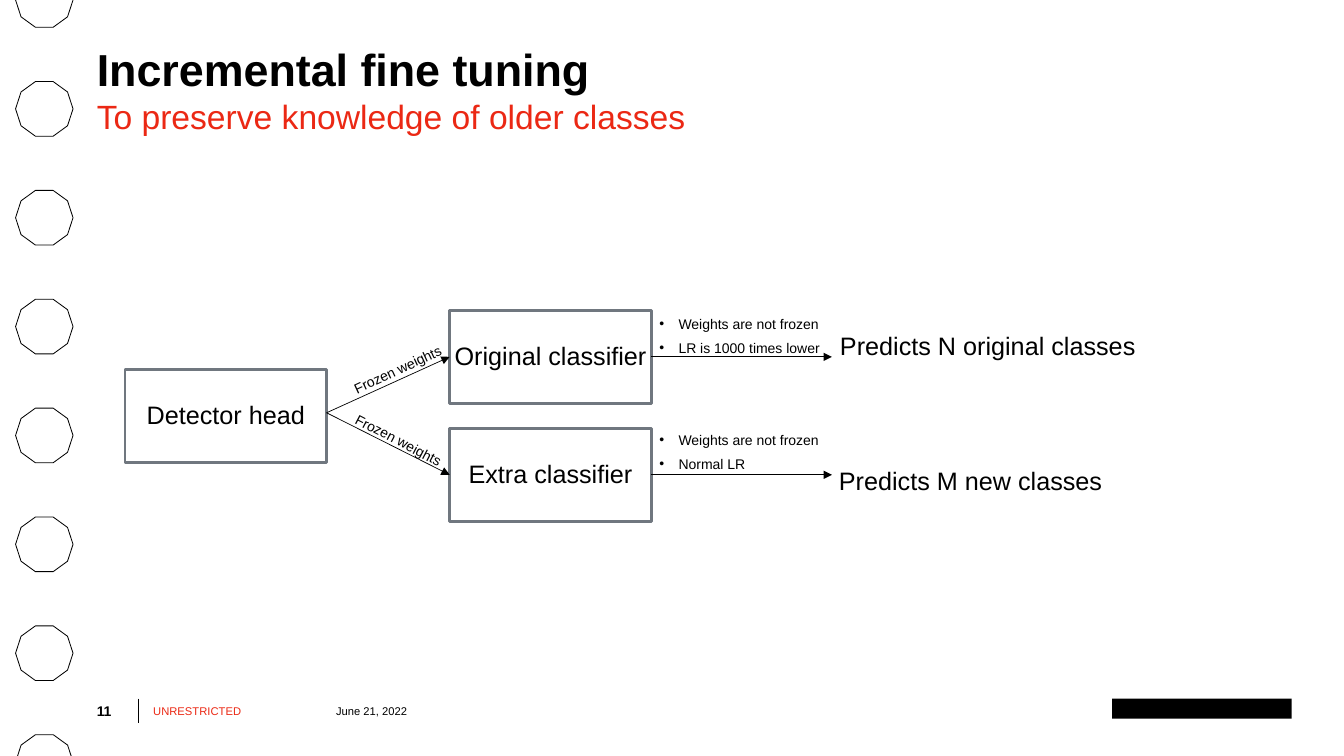
from dataclasses import dataclass
from math import cos, radians, sin

from lxml import etree
from pptx import Presentation
from pptx import util as u
from pptx.dml.color import RGBColor
from pptx.enum import shapes, text
from pptx.oxml.ns import qn

W, H = u.Inches(13.33), u.Inches(7.5)
BLACK, RED, GREY, WHITE = "000000", "EB2814", "70777F", "FFFFFF"
LEFT, FOOT_Y, FOOT_H = 7.2, 92.4, 3.2
BOX_W, BOX_H = 15, 12.27
TOP, MIDDLE = text.MSO_ANCHOR.TOP, text.MSO_ANCHOR.MIDDLE
BODY = dict(line=1.1, after=4)


@dataclass
class Box:
    """A labelled rectangle; places are percent of the slide's size."""
    label: str
    x: float
    y: float

    @property
    def right(self) -> float:
        return self.x + BOX_W

    @property
    def mid(self) -> float:
        return self.y + BOX_H / 2


@dataclass
class Note:
    """Loose text; places are percent of the slide's size."""
    lines: tuple[str, ...]
    x: float
    y: float
    w: float
    h: float
    size: float = 10
    bullet: bool = False
    turn: float = 0


def px(share: float) -> int:
    return round(W * share / 100)


def py(share: float) -> int:
    return round(H * share / 100)


def area(x: float, y: float, w: float, h: float) -> tuple[int, int, int, int]:
    return px(x), py(y), px(w), py(h)


def rgb(colour: str) -> RGBColor:
    return RGBColor.from_string(colour)


def add_bullet(p) -> None:
    pPr = p._p.get_or_add_pPr()
    pPr.set("marL", str(u.Inches(0.19)))
    pPr.set("indent", str(-u.Inches(0.19)))
    etree.SubElement(pPr, qn("a:buFont")).set("typeface", "Arial")
    etree.SubElement(pPr, qn("a:buChar")).set("char", "•")


def write(sp, *lines: str, size: float, colour: str = BLACK, bold: bool = False,
          align=text.PP_ALIGN.LEFT, anchor=TOP, inset: float = 0,
          line: float = 1, after: float = 0, bullet: bool = False) -> None:
    tf = sp.text_frame
    tf.word_wrap, tf.auto_size = True, text.MSO_AUTO_SIZE.NONE
    tf.vertical_anchor = anchor
    tf.margin_left = tf.margin_right = u.Inches(inset)
    tf.margin_top = tf.margin_bottom = u.Inches(inset)
    for i, words in enumerate(lines):
        p = tf.add_paragraph() if i else tf.paragraphs[0]
        p.alignment, p.line_spacing = align, line
        p.space_before, p.space_after = u.Pt(0), u.Pt(after)
        if bullet:
            add_bullet(p)
        r = p.add_run()
        r.text = words
        r.font.name, r.font.size, r.font.bold = "Arial", u.Pt(size), bold
        r.font.color.rgb = rgb(colour)


def add_rect(s, place: tuple[int, int, int, int], fill: str, outline: str = ""):
    sp = s.shapes.add_shape(shapes.MSO_SHAPE.RECTANGLE, *place)
    sp.shadow.inherit = False
    sp.fill.solid()
    sp.fill.fore_color.rgb = rgb(fill)
    if outline:
        sp.line.color.rgb, sp.line.width = rgb(outline), u.Pt(2)
    else:
        sp.line.fill.background()
    return sp


def add_line(s, x1: float, y1: float, x2: float, y2: float, arrow: bool = True) -> None:
    cn = s.shapes.add_connector(shapes.MSO_CONNECTOR.STRAIGHT,
                                px(x1), py(y1), px(x2), py(y2))
    cn.line.color.rgb, cn.line.width = rgb(BLACK), u.Pt(0.5)
    if arrow:
        etree.SubElement(cn.line._get_or_add_ln(), qn("a:tailEnd")).set("type", "triangle")
    etree.SubElement(cn._element.spPr, qn("a:effectLst"))


def add_note(s, note: Note) -> None:
    sp = s.shapes.add_textbox(*area(note.x, note.y, note.w, note.h))
    sp.rotation = note.turn
    write(sp, *note.lines, size=note.size, bullet=note.bullet, **BODY)


def cut(point: tuple[float, float], neighbour: tuple[float, float]) -> tuple[float, float]:
    """Move a point below the slide along its edge up to the bottom border."""
    (x, y), (nx, ny) = point, neighbour
    if y <= H:
        return point
    return x + (nx - x) * (y - H) / (y - ny), H


def add_ring(s, row: int, rows: int) -> None:
    """Draw a binder ring as a decagon; the end rows show only one half."""
    half = row in (0, rows - 1)
    start = 0 if row == 0 else 180
    radius, cx, cy = u.Inches(0.285), px(3.3), py(14.4 * row)
    pts = [(cx + radius * cos(radians(start + 36 * i)),
            cy + radius * sin(radians(start + 36 * i))) for i in range(6 if half else 10)]
    if half:
        pts[0], pts[-1] = cut(pts[0], pts[1]), cut(pts[-1], pts[-2])
    fb = s.shapes.build_freeform(round(pts[0][0]), round(pts[0][1]))
    fb.add_line_segments([(round(x), round(y)) for x, y in pts[1:]], close=not half)
    sp = fb.convert_to_shape()
    sp.shadow.inherit = False
    sp.fill.background()
    sp.line.color.rgb, sp.line.width = rgb(BLACK), u.Pt(0.6)


def add_footer(s) -> None:
    add_rect(s, area(82.75, FOOT_Y, 13.35, 2.67), BLACK)
    add_line(s, 10.28, FOOT_Y, 10.28, FOOT_Y + FOOT_H, arrow=False)
    for words, x, w, size, colour, bold in (
            ("11", LEFT, 3.15, 10, BLACK, True),
            ("UNRESTRICTED", 11.4, 12.83, 8, RED, False),
            ("June 21, 2022", 25, 20.7, 8, BLACK, False)):
        sp = s.shapes.add_textbox(*area(x, FOOT_Y, w, FOOT_H))
        write(sp, words, size=size, colour=colour, bold=bold, anchor=MIDDLE)


def add_headings(s) -> None:
    title, subtitle = s.shapes.title, s.placeholders[1]
    for sp, y, h in ((title, 6.27, 6.8), (subtitle, 12.13, 6.27)):
        sp.left, sp.top, sp.width, sp.height = area(LEFT, y, 85.67, h)
    write(title, "Incremental fine tuning", size=32, bold=True, line=0.9)
    write(subtitle, "To preserve knowledge of older classes", size=24, colour=RED, **BODY)


def add_diagram(s) -> None:
    detector = Box("Detector head", 9.3, 48.93)
    classifiers = (Box("Original classifier", 33.46, 41.07),
                   Box("Extra classifier", 33.46, 56.67))
    for box in (detector, *classifiers):
        sp = add_rect(s, area(box.x, box.y, BOX_W, BOX_H), WHITE, GREY)
        write(sp, box.label, size=18, align=text.PP_ALIGN.CENTER, anchor=MIDDLE,
              inset=0.04, line=0.9, after=10)
    for box in classifiers:
        add_line(s, detector.right, 54.6, box.x, box.mid)
        add_line(s, box.right, box.mid, 61.9, box.mid)

    frozen, trained = "Frozen weights", "Weights are not frozen"
    for note in (
            Note(("Predicts N original classes",), 62.5, 43.33, 24.4, 7.73, 18),
            Note(("Predicts M new classes",), 62.42, 61.2, 24.4, 7.73, 18),
            Note((frozen,), 26.03, 46.4, 9.9, 3.47, turn=335.1),
            Note((frozen,), 25.88, 58, 9.9, 3.47, turn=27.5),
            Note((trained, "LR is 1000 times lower"), 49.06, 41.47, 15, 7.73, bullet=True),
            Note((trained, "Normal LR"), 49.06, 56.8, 15, 6.4, bullet=True)):
        add_note(s, note)


def main() -> None:
    prs = Presentation()
    prs.slide_width, prs.slide_height = W, H
    s = prs.slides.add_slide(prs.slide_layouts[0])
    rings = 8
    for row in range(rings):
        add_ring(s, row, rings)
    add_footer(s)
    add_headings(s)
    add_diagram(s)
    prs.save("out.pptx")


if __name__ == "__main__":
    main()
